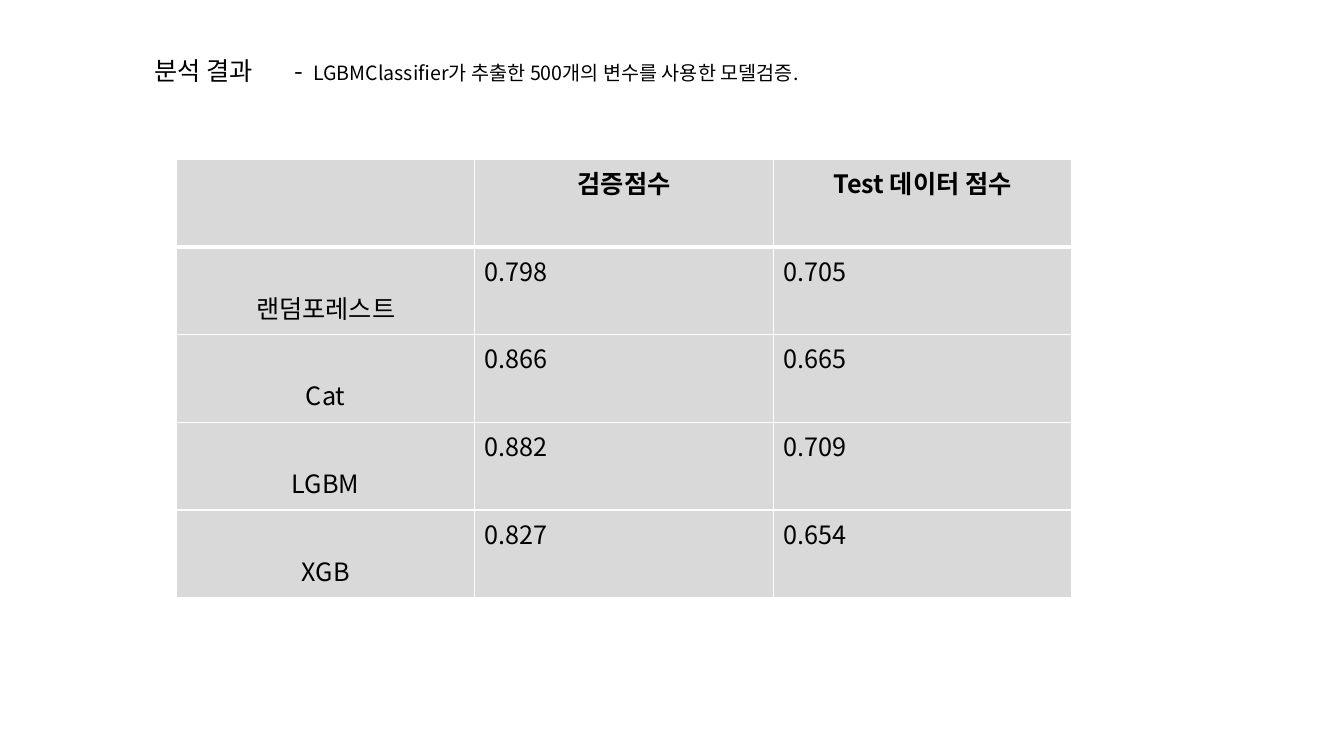
from dataclasses import dataclass

from lxml import etree
from pptx import Presentation
from pptx.dml.color import RGBColor
from pptx.enum.text import MSO_ANCHOR, MSO_AUTO_SIZE, PP_ALIGN
from pptx.oxml.ns import qn
from pptx.util import Inches, Pt

FONT = "Noto Sans CJK KR"
BLACK, WHITE, GREY = "000000", "FFFFFF", "D9D9D9"
COLUMN_WIDTH, ROW_HEIGHT = 2.96, 0.87
TABLE_LEFT, TABLE_TOP = 1.75, 1.58
HEADING_TOP, HEADING_HEIGHT = 0.5, 0.4
THIN, THICK = 1, 3


@dataclass(frozen=True)
class ModelScore:
    model: str
    validation: str
    test: str


HEADERS = ("", "검증점수", "Test 데이터 점수")
SCORES = (
    ModelScore("랜덤포레스트", "0.798", "0.705"),
    ModelScore("Cat", "0.866", "0.665"),
    ModelScore("LGBM", "0.882", "0.709"),
    ModelScore("XGB", "0.827", "0.654"),
)


def colour(value: str) -> RGBColor:
    return RGBColor.from_string(value)


def add_run(paragraph, text: str, size: float = 18, bold: bool = False) -> None:
    run = paragraph.add_run()
    run.text = text
    run.font.size = Pt(size)
    run.font.bold = bold
    run.font.name = FONT
    run.font.color.rgb = colour(BLACK)
    etree.SubElement(run.font._element, qn("a:ea"), typeface=FONT)


def place_heading(shape, left: float, width: float):
    shape.left, shape.top = Inches(left), Inches(HEADING_TOP)
    shape.width, shape.height = Inches(width), Inches(HEADING_HEIGHT)
    frame = shape.text_frame
    frame.word_wrap = True
    frame.auto_size = MSO_AUTO_SIZE.NONE
    frame.vertical_anchor = MSO_ANCHOR.TOP
    paragraph = frame.paragraphs[0]
    paragraph.alignment = PP_ALIGN.LEFT
    paragraph.line_spacing = 1.0
    paragraph.space_before = Pt(0)
    return paragraph


def add_border(cell, side: str, width: float) -> None:
    properties = cell._tc.get_or_add_tcPr()
    line = etree.SubElement(properties, qn(f"a:ln{side}"), w=str(Pt(width)))
    fill = etree.SubElement(line, qn("a:solidFill"))
    etree.SubElement(fill, qn("a:srgbClr"), val=WHITE)


def format_cell(cell, text: str, row: int, column: int) -> None:
    header, label = row == 0, column == 0
    widths = {"L": THIN, "R": THIN,
              "T": THICK if row == 1 else THIN,
              "B": THICK if header else THIN}
    for side, width in widths.items():
        add_border(cell, side, width)
    cell.fill.solid()
    cell.fill.fore_color.rgb = colour(GREY)
    if label and not header:
        cell.vertical_anchor = MSO_ANCHOR.BOTTOM
        cell.margin_bottom = Inches(0.09)
    paragraph = cell.text_frame.paragraphs[0]
    paragraph.alignment = PP_ALIGN.CENTER if header or label else PP_ALIGN.LEFT
    if text:
        add_run(paragraph, text, bold=header)


def add_score_table(slide) -> None:
    rows = [HEADERS] + [(s.model, s.validation, s.test) for s in SCORES]
    table = slide.shapes.add_table(
        len(rows), len(HEADERS), Inches(TABLE_LEFT), Inches(TABLE_TOP),
        Inches(COLUMN_WIDTH * len(HEADERS)), Inches(ROW_HEIGHT * len(rows))).table
    table.horz_banding = False
    for column in table.columns:
        column.width = Inches(COLUMN_WIDTH)
    for row_index, texts in enumerate(rows):
        table.rows[row_index].height = Inches(ROW_HEIGHT)
        for column_index, text in enumerate(texts):
            format_cell(table.cell(row_index, column_index), text,
                        row_index, column_index)


presentation = Presentation()
presentation.slide_width = Inches(13.33)
presentation.slide_height = Inches(7.5)
slide = presentation.slides.add_slide(presentation.slide_layouts[5])

add_run(place_heading(slide.shapes.title, 1.43, 5.23), "분석 결과")
subtitle = place_heading(slide.shapes.add_textbox(0, 0, 0, 0), 2.82, 5.78)
add_run(subtitle, "- ")
add_run(subtitle, " LGBMClassifier가 추출한 500개의 변수를 사용한 모델검증.", 14)
add_score_table(slide)

presentation.save("out.pptx")
